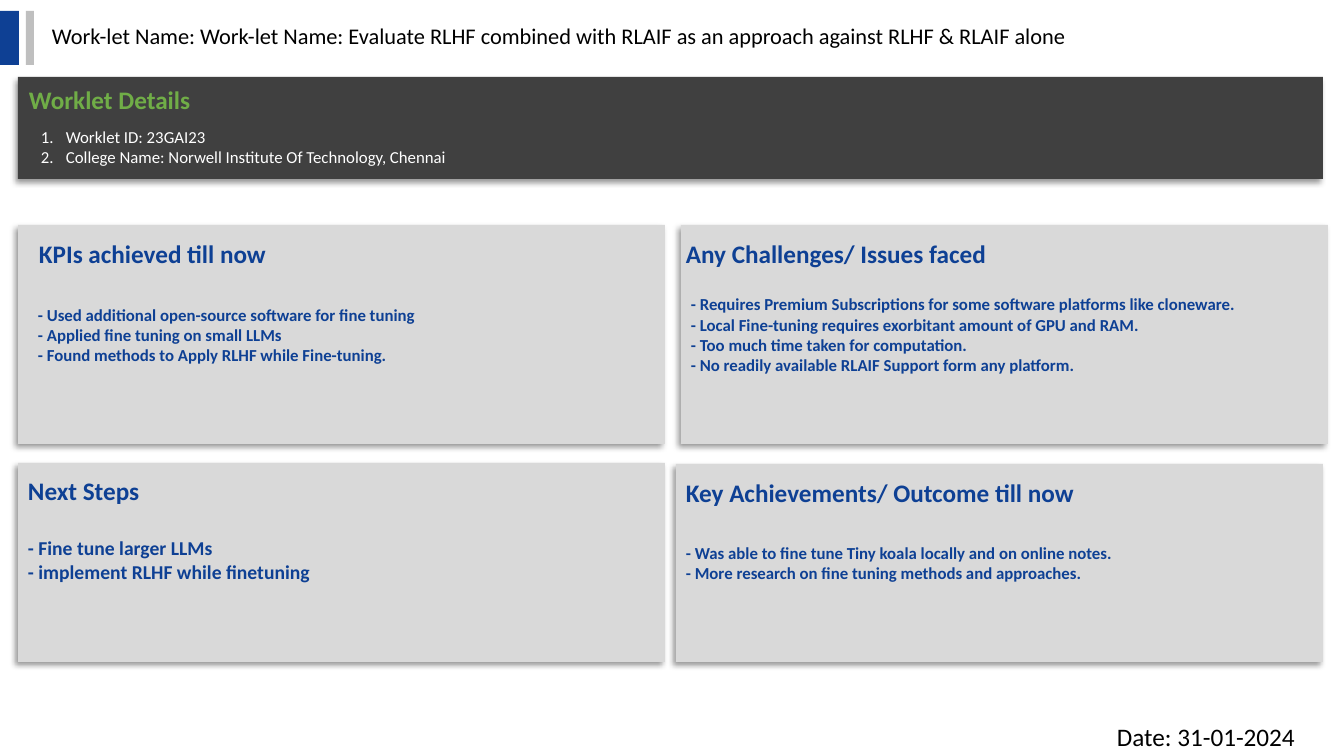
import pptx
import pptx.dml.color
import pptx.enum.shapes
import pptx.enum.text
import pptx.oxml
import pptx.oxml.ns
import pptx.util

EMU_PER_PX = 914400 / 100.8
COLORS = {
    "blue": "0E4094", "charcoal": "404040", "silver": "BFBFBF", "panel": "D9D9D9",
    "green": "70AD47", "white": "FFFFFF", "black": "000000",
}
ANCHOR = pptx.enum.text.MSO_ANCHOR
SHADOW = (
    f'<a:outerShdw {pptx.oxml.ns.nsdecls("a")} blurRad="50800" dist="38100" dir="8100000" '
    'algn="tr" rotWithShape="0"><a:srgbClr val="000000"><a:alpha val="40000"/>'
    "</a:srgbClr></a:outerShdw>"
)

presentation = pptx.Presentation()
presentation.slide_width = round(1344 * EMU_PER_PX)
presentation.slide_height = round(756 * EMU_PER_PX)
slide = presentation.slides.add_slide(presentation.slide_layouts[6])


def add_box(box, fill=None, shadow=False):
    """Add a filled rectangle, or a text box when there is no fill."""
    place = [round(length * EMU_PER_PX) for length in box]
    if fill is None:
        return slide.shapes.add_textbox(*place)
    shape = slide.shapes.add_shape(pptx.enum.shapes.MSO_SHAPE.RECTANGLE, *place)
    shape.fill.solid()
    shape.fill.fore_color.rgb = pptx.dml.color.RGBColor.from_string(COLORS[fill])
    shape.line.fill.background()
    shape.shadow.inherit = False
    if shadow:
        effects = shape._element.spPr.find(pptx.oxml.ns.qn("a:effectLst"))
        effects.append(pptx.oxml.parse_xml(SHADOW))
    return shape


def write(shape, text, size=12, color="blue", bold=True, anchor=ANCHOR.TOP,
          wrap=True, indent=0, numbered=False, space_before=0):
    """Add one paragraph per line of text; space_before goes above the first."""
    frame = shape.text_frame
    frame.word_wrap = wrap
    frame.vertical_anchor = anchor
    for index, line in enumerate(text.split("\n")):
        paragraph = frame.add_paragraph() if frame.text else frame.paragraphs[0]
        paragraph.alignment = pptx.enum.text.PP_ALIGN.LEFT
        if index == 0 and space_before:
            paragraph.space_before = pptx.util.Pt(space_before)
        properties = paragraph._p.get_or_add_pPr()
        if indent:
            properties.set("marL", str(round(indent * EMU_PER_PX)))
        if numbered:
            properties.set("indent", str(-round(indent * EMU_PER_PX)))
            properties.append(pptx.oxml.parse_xml(
                f'<a:buAutoNum {pptx.oxml.ns.nsdecls("a")} type="arabicPeriod"/>'))
        run = paragraph.add_run()
        run.text = line
        run.font.name = "Calibri"
        run.font.size = pptx.util.Pt(size)
        run.font.bold = bold
        run.font.color.rgb = pptx.dml.color.RGBColor.from_string(COLORS[color])


# Title with its two accent bars
add_box((0, 11, 19, 54), "blue")
add_box((26, 11, 8, 54), "silver")
write(add_box((42, 17, 1261, 65)),
      "Work-let Name: Work-let Name: Evaluate RLHF combined with RLAIF "
      "as an approach against RLHF & RLAIF alone",
      size=16, color="black", bold=False)

# Worklet details band
add_box((18, 77, 1305, 102), "charcoal", shadow=True)
write(add_box((19, 79, 183, 40)), "Worklet Details", size=18, color="green", wrap=False)
write(add_box((31, 122, 460, 50)),
      "Worklet ID: 23GAI23\nCollege Name: Norwell Institute Of Technology, Chennai",
      color="white", bold=False, indent=25, numbered=True)

# Panels: box, heading box, heading, body, body indent
panels = [
    ((18, 225, 647, 219), (29, 233, 249, 40), "KPIs achieved till now",
     "- Used additional open-source software for fine tuning\n"
     "- Applied fine tuning on small LLMs\n"
     "- Found methods to Apply RLHF while Fine-tuning.", 10),
    ((681, 225, 647, 219), (676, 233, 339, 40), "Any Challenges/ Issues faced",
     "- Requires Premium Subscriptions for some software platforms like cloneware.\n"
     "- Local Fine-tuning requires exorbitant amount of GPU and RAM.\n"
     "- Too much time taken for computation.\n"
     "- No readily available RLAIF Support form any platform.", 0),
    ((676, 464, 647, 198), (676, 472, 410, 40), "Key Achievements/ Outcome till now",
     "- Was able to fine tune Tiny koala locally and on online notes.\n"
     "- More research on fine tuning methods and approaches.", 0),
]
for box, heading_box, heading, body, indent in panels:
    write(add_box(box, "panel", shadow=True), body, anchor=ANCHOR.MIDDLE, indent=indent)
    write(add_box(heading_box), heading, size=18, wrap=False)

# Next steps: heading and list share one text box
add_box((18, 463, 647, 199), "panel", shadow=True)
next_steps = add_box((18, 470, 647, 119))
write(next_steps, "Next Steps", size=18)
write(next_steps, "- Fine tune larger LLMs\n- implement RLHF while finetuning",
      size=14, space_before=22)

# Date
write(add_box((1107, 716, 237, 40)), "Date: 31-01-2024", size=18, color="black",
      bold=False, anchor=ANCHOR.MIDDLE)

presentation.save("out.pptx")
